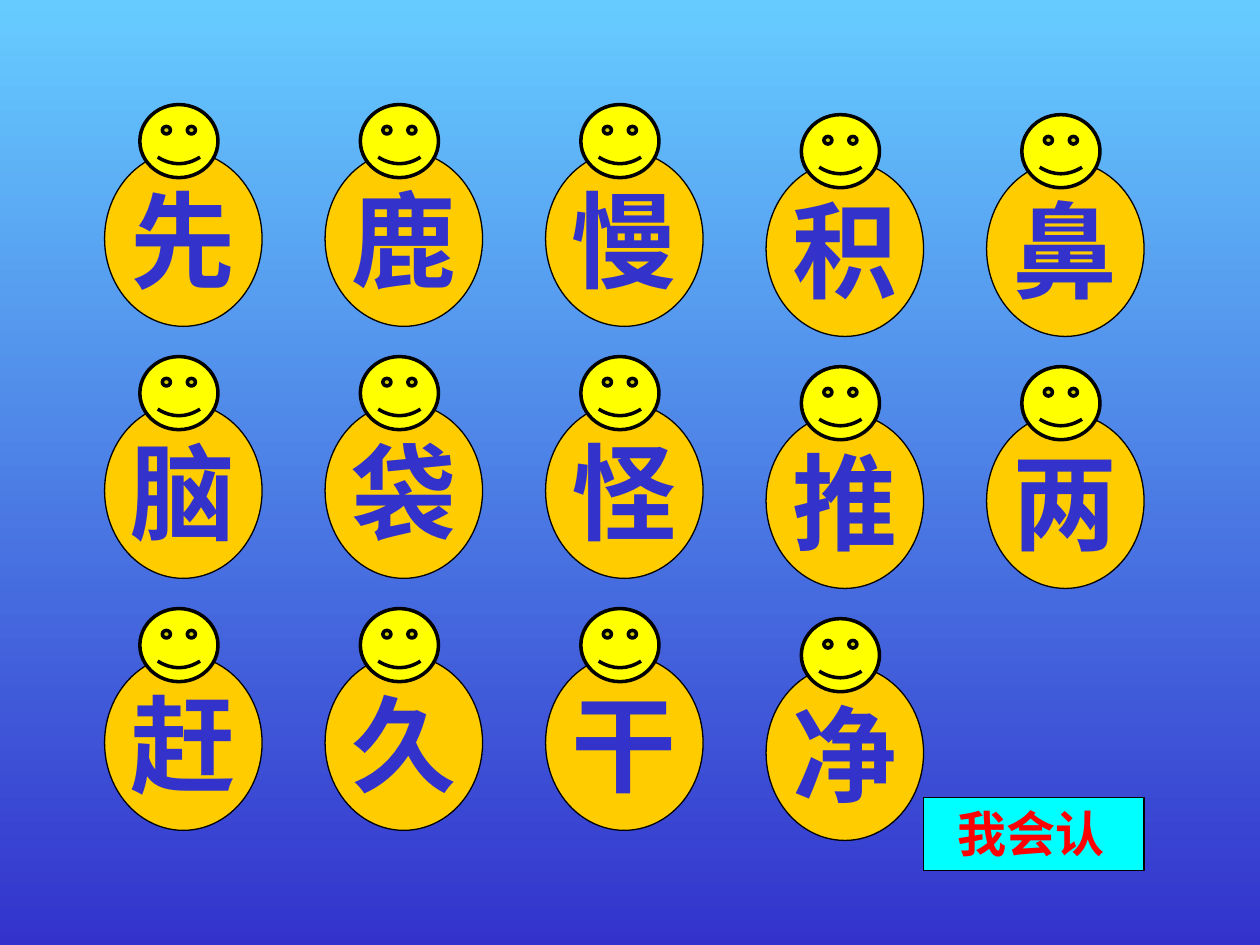
from pptx import Presentation
from pptx.dml.color import RGBColor
from pptx.enum.shapes import MSO_SHAPE
from pptx.enum.text import MSO_ANCHOR, PP_ALIGN
from pptx.util import Inches, Pt

OVAL, SMILEY, RECTANGLE = MSO_SHAPE.OVAL, MSO_SHAPE.SMILEY_FACE, MSO_SHAPE.RECTANGLE
MIDDLE, CENTER = MSO_ANCHOR.MIDDLE, PP_ALIGN.CENTER

COLORS = {
    "sky": "66CCFF",
    "indigo": "3333CC",
    "body": "FFCC00",
    "face": "FFFF00",
    "label": "00FFFF",
    "red": "FF0000",
    "line": "000000",
}
CHARACTER_ROWS = ["先鹿慢积鼻", "脑袋怪推两", "赶久干净"]
LEFT, TOP = 0.83, 0.83
COLUMN_STEP, ROW_STEP = 1.75, 2
LOWERED_COLUMN, LOWERED_BY = 3, 0.08


def color(name):
    """Return the named colour."""
    return RGBColor.from_string(COLORS[name])


def paint_background(page):
    """Fill the page with a gradient that runs downward."""
    fill = page.background.fill
    fill.gradient()
    fill.gradient_angle = 270
    for stop, position, name in zip(fill.gradient_stops, (0, 1), ("sky", "indigo")):
        stop.position = position
        stop.color.rgb = color(name)


def add_figure(group, kind, box, fill, line_width):
    """Add an outlined preset shape to a group."""
    figure = group.shapes.add_shape(kind, *map(Inches, box))
    figure.shadow.inherit = False
    figure.fill.solid()
    figure.fill.fore_color.rgb = color(fill)
    figure.line.color.rgb = color("line")
    figure.line.width = Pt(line_width)
    return figure


def write_text(para, text, size, name):
    """Write one bold span into a paragraph."""
    span = para.add_run()
    span.text = text
    for key, value in {"name": "Arial", "size": Pt(size), "bold": True}.items():
        setattr(span.font, key, value)
    span.font.color.rgb = color(name)


def add_doll(group, left, top, character):
    """Place a smiling doll with a character on its body."""
    body = add_figure(group, OVAL, (left, top + 0.37, 1.25, 1.39), "body", 0.75)
    frame = body.text_frame
    frame.word_wrap = False
    frame.vertical_anchor = MIDDLE
    para = frame.paragraphs[0]
    para.alignment = CENTER
    write_text(para, character, 60, "indigo")
    face = add_figure(group, SMILEY, (left + 0.28, top, 0.62, 0.58), "face", 2)
    face.adjustments[0] = 0.045


def add_doll_row(page, left, top, characters):
    """Place a row of dolls, the right-hand ones slightly lower."""
    group = page.shapes.add_group_shape()
    for column, character in enumerate(characters):
        drop = LOWERED_BY if column >= LOWERED_COLUMN else 0
        add_doll(group, left + column * COLUMN_STEP, top + drop, character)


def add_label(page, left, top, width, height):
    """Place the label with its text in the given box."""
    group = page.shapes.add_group_shape()
    add_figure(group, RECTANGLE, (left, top, width, height), "label", 0.75)
    box = group.shapes.add_textbox(*map(Inches, (left + 0.17, top, 1.5, height)))
    box.text_frame.word_wrap = True
    write_text(box.text_frame.paragraphs[0], "我会认", 28, "red")


def main():
    """Build and save the deck."""
    deck = Presentation()
    deck.slide_width, deck.slide_height = Inches(10), Inches(7.5)
    page = deck.slides.add_slide(deck.slide_layouts.get_by_name("Blank"))
    paint_background(page)
    for row, characters in enumerate(CHARACTER_ROWS):
        add_doll_row(page, LEFT, TOP + row * ROW_STEP, characters)
    add_label(page, 7.33, 6.33, 1.75, 0.58)
    deck.save("out.pptx")


if __name__ == "__main__":
    main()
